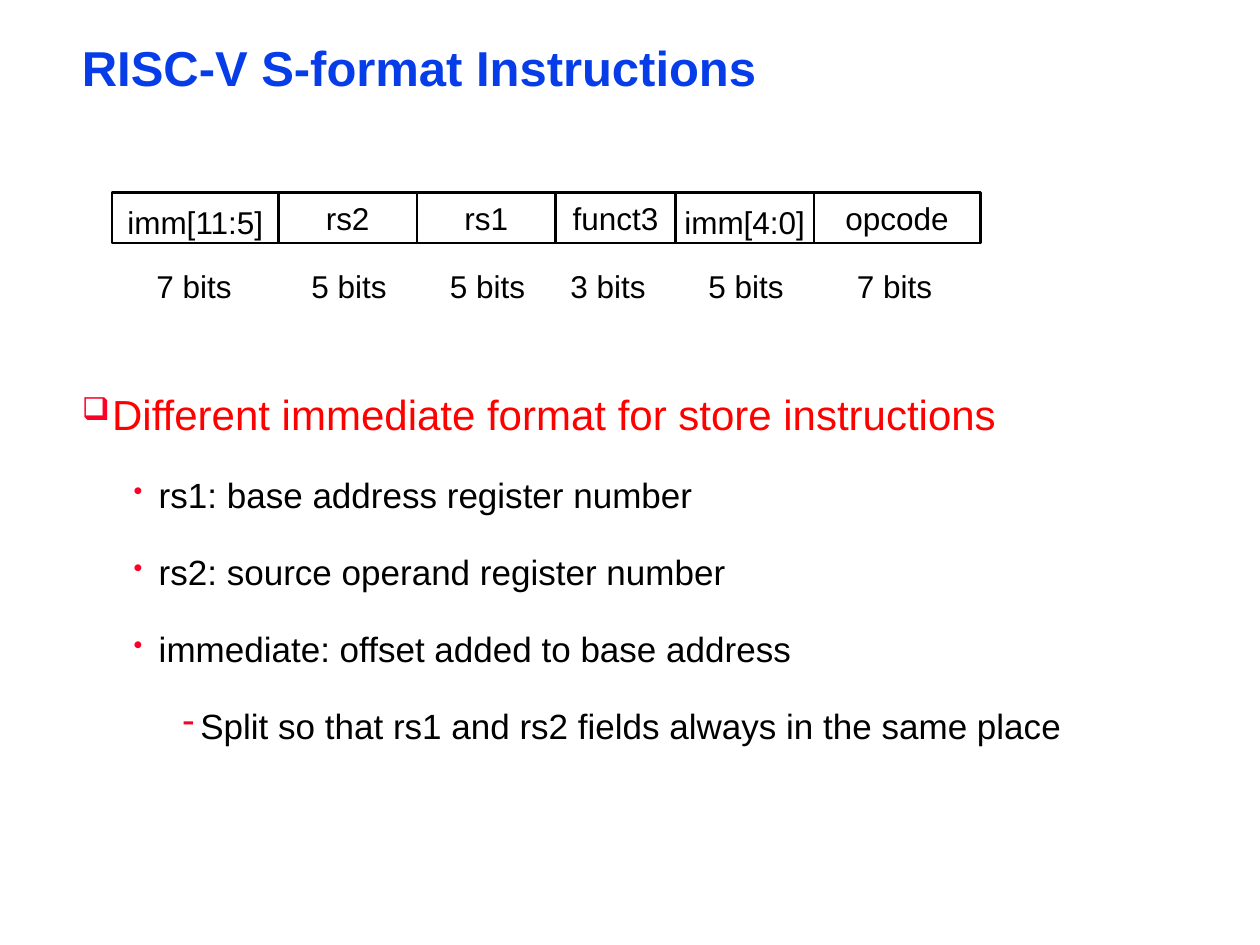
from dataclasses import dataclass
from itertools import accumulate
from lxml.etree import SubElement
from pptx import Presentation
from pptx.dml.color import RGBColor
from pptx.enum.shapes import MSO_SHAPE
from pptx.enum.text import MSO_ANCHOR, PP_ALIGN
from pptx.oxml.ns import qn
from pptx.util import Inches, Pt


@dataclass
class Field:
    name: str
    bits: int
    shift: float
    split: float = 0


@dataclass
class Level:
    size: int
    color: str
    left: float
    hang: float
    gap: int
    mark: str
    scale: int


@dataclass
class Point:
    text: str
    level: int


WIDTH = {7: 1.32, 5: 1.1, 3: 0.95}
LEFT, TOP, HIGH = 0.89, 1.53, 0.4
NOTE, WIDE = 2.07, 0.81
FIELDS = [
    Field("imm[11:5]", 7, -0.01, 1.29),
    Field("rs2", 5, 0.01),
    Field("rs1", 5, 0.01),
    Field("funct3", 3, -0.06),
    Field("imm[4:0]", 5, 0.01, 1.17),
    Field("opcode", 7, -0.02),
]
LEVELS = [
    Level(24, "FF0000", 0.24, -0.24, 65, "\u2751", 75),
    Level(20, "000000", 0.61, -0.2, 40, "\u2022", 75),
    Level(20, "000000", 0.94, -0.14, 40, "-", 100),
]
POINTS = [
    Point("Different immediate format for store instructions", 0),
    Point("rs1: base address register number", 1),
    Point("rs2: source operand register number", 1),
    Point("immediate: offset added to base address", 1),
    Point("Split so that rs1 and rs2 fields always in the same place", 2),
]


def paint(value: str) -> RGBColor:
    return RGBColor.from_string(value)


def style(para, size: int, color: str, bold: bool = False) -> None:
    for run in para.runs:
        font = run.font
        font.name, font.size, font.bold = "Arial", Pt(size), bold
        font.color.rgb = paint(color)


def box(x: float, y: float, w: float, h: float):
    return slide.shapes.add_textbox(*map(Inches, (x, y, w, h)))


def block(y: float, h: float):
    frame = box(0.58, y, 8.92, h).text_frame
    frame.word_wrap = True
    frame.margin_left = frame.margin_right = Inches(0.07)
    frame.margin_top = frame.margin_bottom = Inches(0.03)
    return frame


def label(shape, text: str, wrap: bool = False) -> None:
    frame = shape.text_frame
    frame.text = text
    frame.word_wrap = wrap
    frame.vertical_anchor = MSO_ANCHOR.TOP
    para = frame.paragraphs[0]
    para.alignment = PP_ALIGN.CENTER
    style(para, 18, "000000")


def cell(field: Field, x: float) -> None:
    wide = WIDTH[field.bits]
    mid = x + wide / 2
    rect = slide.shapes.add_shape(
        MSO_SHAPE.RECTANGLE, *map(Inches, (x, TOP, wide, HIGH)))
    rect.shadow.inherit = False
    rect.fill.background()
    rect.line.color.rgb = paint("000000")
    rect.line.width = Pt(1.5)
    if field.split:
        label(box(mid - field.split / 2, TOP + 0.03, field.split, HIGH), field.name)
    else:
        label(rect, field.name, True)
    note = box(mid + field.shift - WIDE / 2, NOTE, WIDE, HIGH)
    label(note, f"{field.bits} bits")


def bullet(para, point: Point) -> None:
    level = LEVELS[point.level]
    para.text = point.text
    para.level = point.level
    para.line_spacing = 1.5
    style(para, level.size, level.color)
    props = para._p.get_or_add_pPr()
    props.set("marL", str(Inches(level.left)))
    props.set("indent", str(Inches(level.hang)))
    space = SubElement(props, qn("a:spcBef"))
    SubElement(space, qn("a:spcPct"), val=str(level.gap * 1000))
    tint = SubElement(props, qn("a:buClr"))
    SubElement(tint, qn("a:srgbClr"), val="FC0128")
    SubElement(props, qn("a:buSzPct"), val=str(level.scale * 1000))
    SubElement(props, qn("a:buChar"), char=level.mark)


deck = Presentation()
deck.slide_width, deck.slide_height = Inches(10), Inches(7.5)
slide = deck.slides.add_slide(deck.slide_layouts[6])

title = block(0.33, 0.47)
title.text = "RISC-V S-format Instructions"
title.paragraphs[0].line_spacing = 0.87
style(title.paragraphs[0], 28, "063DE8", True)

body = block(2.85, 3.82)
for rank, point in enumerate(POINTS):
    bullet(body.add_paragraph() if rank else body.paragraphs[0], point)

edges = accumulate((WIDTH[field.bits] for field in FIELDS), initial=LEFT)
for field, edge in zip(FIELDS, edges):
    cell(field, edge)

deck.save("out.pptx")
